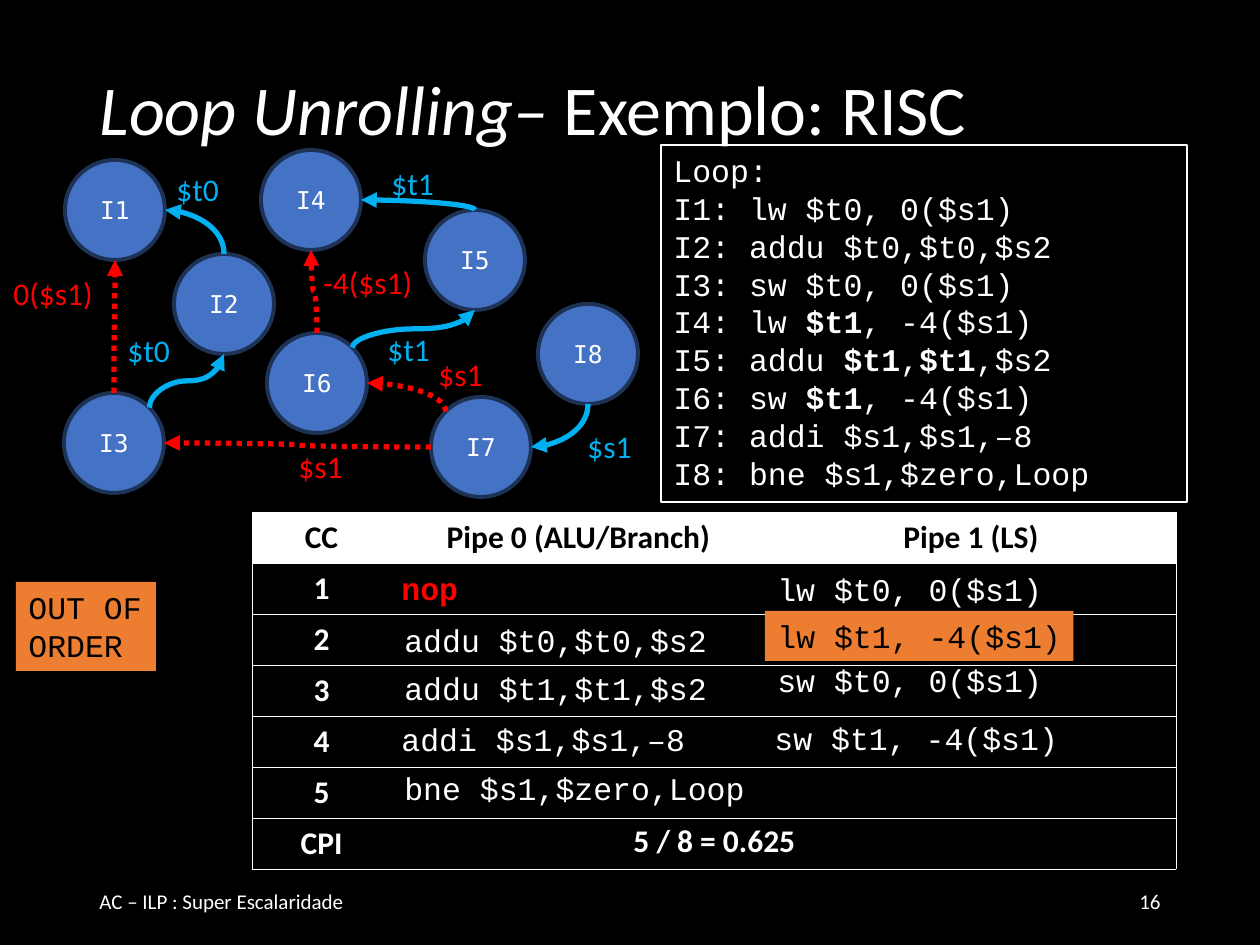
"""Build the loop unrolling slide: dependency graph, RISC code and pipeline schedule."""
from math import cos, pi, sin

from lxml.etree import SubElement
from pptx import Presentation
from pptx.dml.color import RGBColor
from pptx.enum.dml import MSO_LINE
from pptx.enum.shapes import MSO_CONNECTOR, MSO_SHAPE as SHAPE
from pptx.enum.text import MSO_ANCHOR as ANCHOR, MSO_AUTO_SIZE as AUTO, PP_ALIGN as ALIGN
from pptx.oxml.ns import qn
from pptx.util import Emu, Pt

WHITE, BLACK, RED, BLUE = "FFFFFF", "000000", "FF0000", "00B0F0"
ORANGE, NODE_FILL, NODE_LINE = "ED7D31", "4472C4", "1E3256"
SANS, CODE, NODE_FONT = "Calibri", "Courier New", "DejaVu Sans Mono"

TITLE = [("Loop Unrolling– ", True), ("Exemplo: RISC", False)]
PROGRAM = [
    "Loop:",
    "I1: lw $t0, 0($s1)",
    "I2: addu $t0,$t0,$s2",
    "I3: sw $t0, 0($s1)",
    "I4: lw *$t1*, -4($s1)",
    "I5: addu *$t1*,*$t1*,$s2",
    "I6: sw *$t1*, -4($s1)",
    "I7: addi $s1,$s1,–8",
    "I8: bne $s1,$zero,Loop",
]
HEADERS = ["CC", "Pipe 0 (ALU/Branch)", "Pipe 1 (LS)"]
ROW_NAMES = ["1", "2", "3", "4", "5", "CPI"]
COLUMNS, ROW_HEIGHT = [139, 375, 410], 51
SCHEDULE = [
    (389, 563, "*nop*", RED, None),
    (765, 564, "lw $t0, 0($s1)", WHITE, None),
    (392, 615, "addu $t0,$t0,$s2", WHITE, None),
    (765, 611, "lw $t1, -4($s1)", BLACK, ORANGE),
    (392, 663, "addu $t1,$t1,$s2", WHITE, None),
    (765, 655, "sw $t0, 0($s1)", WHITE, None),
    (389, 714, "addi $s1,$s1,–8", WHITE, None),
    (762, 713, "sw $t1, -4($s1)", WHITE, None),
    (392, 763, "bne $s1,$zero,Loop", WHITE, None),
]

NODE_SIZE = 100
NODES = {
    "I1": (65, 160), "I2": (174, 254), "I3": (64, 393), "I4": (261, 150),
    "I5": (425, 210), "I6": (267, 333), "I7": (431, 397), "I8": (538, 304),
}
TOP, TOP_LEFT, LEFT, BOTTOM, RIGHT, TOP_RIGHT = 0, 1, 2, 4, 6, 7
EDGES = [
    ("I2", TOP, "I1", RIGHT, BLUE, "$t0", (164, 164, 68)),
    ("I3", TOP, "I1", BOTTOM, RED, "0($s1)", (1, 268, 106)),
    ("I3", TOP_RIGHT, "I2", BOTTOM, BLUE, "$t0", (115, 325, 68)),
    ("I7", LEFT, "I3", RIGHT, RED, "$s1", (286, 441, 71)),
    ("I8", BOTTOM, "I7", RIGHT, BLUE, "$s1", (575, 421, 71)),
    ("I5", TOP, "I4", RIGHT, BLUE, "$t1", (379, 158, 68)),
    ("I6", TOP, "I4", BOTTOM, RED, "-4($s1)", (311, 257, 116)),
    ("I6", TOP_RIGHT, "I5", BOTTOM, BLUE, "$t1", (375, 324, 68)),
    ("I7", TOP_LEFT, "I6", RIGHT, RED, "$s1", (426, 349, 71)),
]


def px(value):
    return Emu(round(value * 914400 / 126))


def color(value):
    return RGBColor.from_string(value)


def add_span(para, text, font, size, ink, bold=False, italic=False):
    span = para.add_run()
    span.text = text
    span.font.name, span.font.size = font, Pt(size)
    span.font.bold, span.font.italic = bold, italic
    span.font.color.rgb = color(ink)


def write(frame, lines, font, size, ink, align=ALIGN.LEFT, anchor=ANCHOR.TOP):
    frame.vertical_anchor = anchor
    for index, line in enumerate(lines):
        para = frame.add_paragraph() if index else frame.paragraphs[0]
        para.alignment = align
        for part, text in enumerate(line.split("*")):
            if text:
                add_span(para, text, font, size, ink, bold=part % 2 == 1)


def add_box(slide, area, kind=SHAPE.RECTANGLE, fill=None, line=None, width=0.75):
    box = slide.shapes.add_shape(kind, *map(px, area))
    box.shadow.inherit = False
    for paint, ink in ((box.fill, fill), (box.line.fill, line)):
        if ink:
            paint.solid()
            paint.fore_color.rgb = color(ink)
        else:
            paint.background()
    if line:
        box.line.width = Pt(width)
    return box


def add_label(slide, area, lines, font, ink, fill=None, size=18, **layout):
    if fill:
        box = add_box(slide, area, fill=fill)
    else:
        box = slide.shapes.add_textbox(*map(px, area))
    box.text_frame.word_wrap = False
    box.text_frame.auto_size = AUTO.SHAPE_TO_FIT_TEXT
    write(box.text_frame, lines, font, size, ink, **layout)


def site_point(name, site):
    left, top = NODES[name]
    radius, angle = NODE_SIZE / 2, site * pi / 4
    return left + radius - radius * sin(angle), top + radius - radius * cos(angle)


def add_edge(slide, circles, start, start_site, end, end_site, ink):
    (x1, y1), (x2, y2) = site_point(start, start_site), site_point(end, end_site)
    dx, dy = x2 - x1, y2 - y1
    if start_site == LEFT:
        width, height, turn, flip = abs(dx), abs(dy), 180, dy > 0
    else:
        width, height = abs(dy), abs(dx)
        turn, flip = (90, dx > 0) if dy > 0 else (270, dx < 0)
    left, top = (x1 + x2 - width) / 2, (y1 + y2 - height) / 2
    edge = slide.shapes.add_connector(
        MSO_CONNECTOR.CURVE, px(left), px(top), px(left + width), px(top + height))
    edge.line.color.rgb = color(ink)
    edge.line.width = Pt(3)
    if ink == RED:
        edge.line.dash_style = MSO_LINE.ROUND_DOT
    properties = edge._element.spPr
    SubElement(properties.find(qn("a:ln")), qn("a:tailEnd"), type="triangle")
    SubElement(properties, qn("a:effectLst"))
    frame = properties.find(qn("a:xfrm"))
    frame.set("rot", str(turn * 60000))
    if flip:
        frame.set("flipV", "1")
    if start_site != LEFT and end_site == RIGHT:
        properties.find(qn("a:prstGeom")).set("prst", "curvedConnector2")
    joints = edge._element.find(".//" + qn("p:cNvCxnSpPr"))
    for tag, name, site in (("a:stCxn", start, start_site), ("a:endCxn", end, end_site)):
        SubElement(joints, qn(tag), id=str(circles[name].shape_id), idx=str(site))


def format_cell(cell, row, column):
    properties = cell._tc.get_or_add_tcPr()
    visible = {"L": column == 0, "R": column == 2 or row == 6 and column == 1, "T": True, "B": True}
    for side, shown in visible.items():
        border = SubElement(properties, qn("a:ln" + side), w=str(Pt(0.5)))
        if shown:
            SubElement(SubElement(border, qn("a:solidFill")), qn("a:srgbClr"), val=WHITE)
        else:
            SubElement(border, qn("a:noFill"))
    if row:
        cell.fill.background()
    else:
        cell.fill.solid()
        cell.fill.fore_color.rgb = color(WHITE)


def add_schedule(slide):
    rows = [HEADERS] + [[name, "", ""] for name in ROW_NAMES]
    area = (252, 512, sum(COLUMNS), ROW_HEIGHT * len(rows))
    table = slide.shapes.add_table(len(rows), len(COLUMNS), *map(px, area)).table
    table.first_row = table.horz_banding = False
    for column, width in enumerate(COLUMNS):
        table.columns[column].width = px(width)
    for row, texts in enumerate(rows):
        table.rows[row].height = px(ROW_HEIGHT)
        for column, text in enumerate(texts):
            cell = table.cell(row, column)
            format_cell(cell, row, column)
            if text:
                ink = WHITE if row else BLACK
                write(cell.text_frame, [f"*{text}*"], SANS, 18, ink, ALIGN.CENTER)
    table.cell(6, 1).merge(table.cell(6, 2))
    for left, top, text, ink, fill in SCHEDULE:
        width = 25 + 18.9 * len(text.strip("*"))
        add_label(slide, (left, top, width, 50), [text], CODE, ink, fill)
    add_label(slide, (620, 815, 189, 50), ["*5 / 8 = 0.625*"], SANS, WHITE, align=ALIGN.CENTER)


def add_graph(slide):
    circles = {}
    for name, corner in NODES.items():
        circle = add_box(slide, (*corner, NODE_SIZE, NODE_SIZE), SHAPE.OVAL, NODE_FILL, NODE_LINE, 2.25)
        write(circle.text_frame, [name], NODE_FONT, 14, WHITE, ALIGN.CENTER, ANCHOR.MIDDLE)
        circles[name] = circle
    for *ends, ink, text, (left, top, width) in EDGES:
        add_edge(slide, circles, *ends, ink)
        add_label(slide, (left, top, width, 50), [text], SANS, ink)


def main():
    deck = Presentation()
    deck.slide_width, deck.slide_height = px(1260), px(945)
    slide = deck.slides.add_slide(deck.slide_layouts[5])
    slide.background.fill.solid()
    slide.background.fill.fore_color.rgb = color(BLACK)
    program = add_box(slide, (661, 145, 526, 357), line=WHITE)
    write(program.text_frame, PROGRAM, CODE, 18, WHITE)
    title = slide.shapes.title
    title.left, title.top, title.width, title.height = map(px, (87, 50, 1086, 125))
    title.text_frame.auto_size = AUTO.NONE
    title.text_frame.vertical_anchor = ANCHOR.MIDDLE
    para = title.text_frame.paragraphs[0]
    para.alignment, para.line_spacing = ALIGN.LEFT, 0.9
    for text, italic in TITLE:
        add_span(para, text, SANS, 40, WHITE, italic=italic)
    for left, text, align in ((87, "AC – ILP : Super Escalaridade", ALIGN.LEFT), (890, "16", ALIGN.RIGHT)):
        footer = slide.shapes.add_textbox(*map(px, (left, 876, 283, 50)))
        footer.text_frame.word_wrap = True
        write(footer.text_frame, [text], SANS, 12, WHITE, align, ANCHOR.MIDDLE)
    add_schedule(slide)
    add_label(slide, (16, 582, 140, 89), ["OUT OF", "ORDER"], CODE, BLACK, ORANGE)
    add_graph(slide)
    deck.save("out.pptx")


if __name__ == "__main__":
    main()
